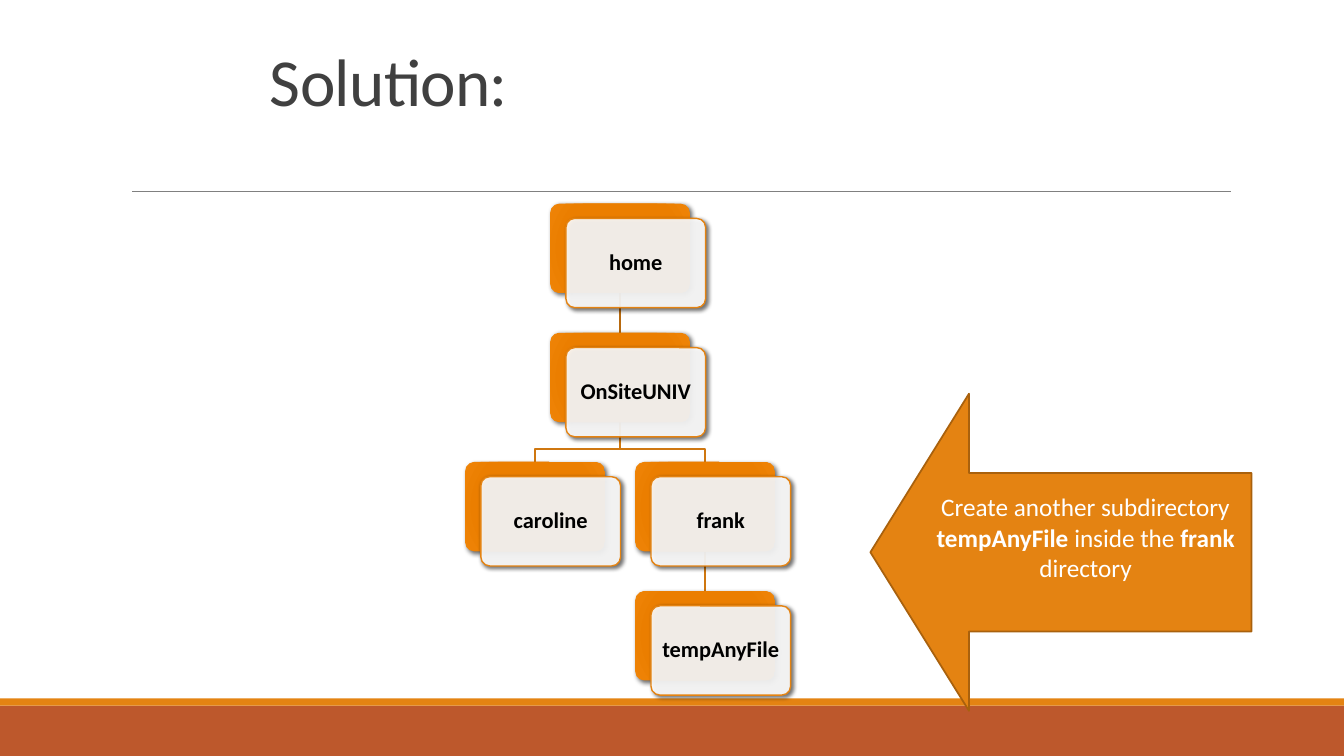
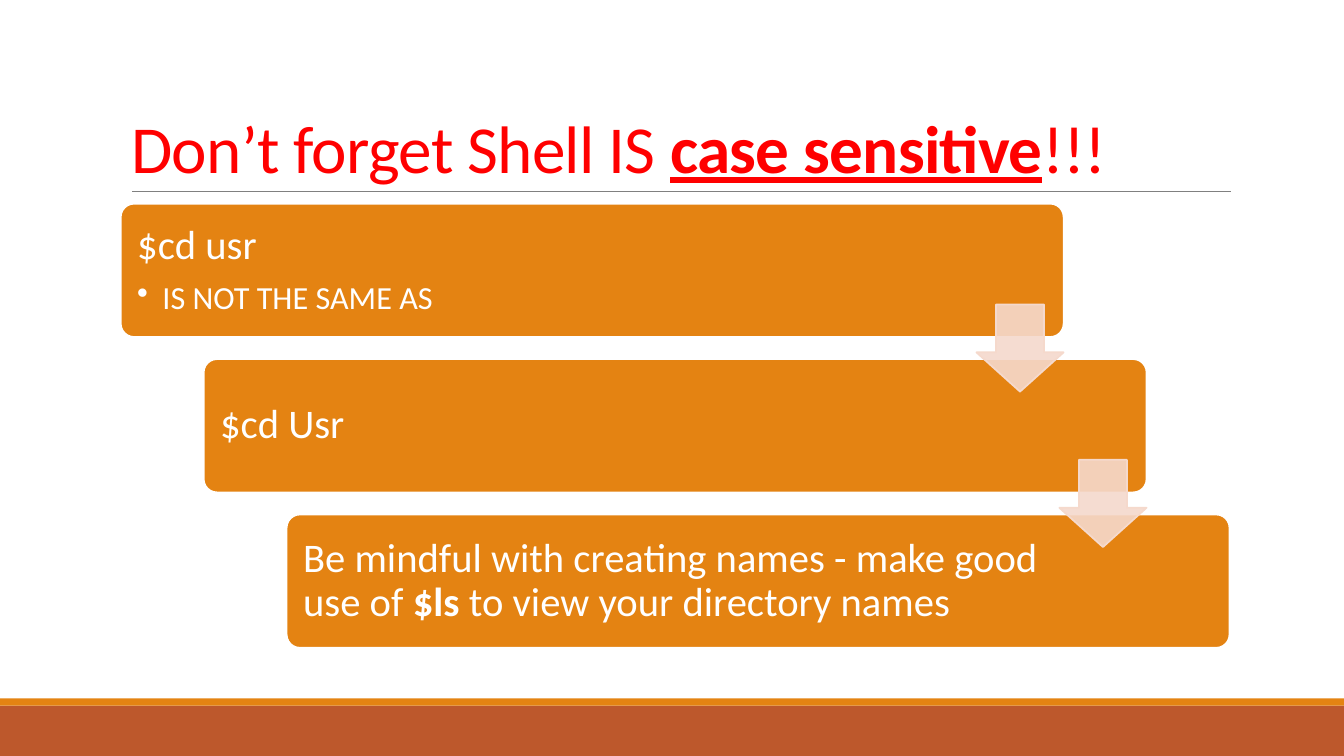
from dataclasses import dataclass

from pptx import Presentation
from pptx.dml.color import RGBColor as RGB
from pptx.enum.shapes import MSO_CONNECTOR as LINK, MSO_SHAPE as KIND
from pptx.enum.text import MSO_ANCHOR as ANCHOR, PP_ALIGN as ALIGN
from pptx.oxml import parse_xml
from pptx.oxml.ns import nsdecls, qn
from pptx.util import Emu, Pt

SCALE = 9525  # EMU in one px, 96 px to the inch


@dataclass(frozen=True)
class Theme:
    font: str = "Calibri"
    rust: str = "BD582C"
    orange: str = "E48312"
    edge: str = "A9610D"
    stem: str = "B7690E"
    branch: str = "CF7710"
    pale: str = "F5D9CC"
    white: str = "FFFFFF"
    black: str = "000000"
    gray: str = "808080"
    dark: str = "404040"
    red: str = "FF0000"
    glow: tuple = ((0, "E57B00"), (34, "E87D00"), (70, "EB7E00"), (100, "EF8407"))
    title: int = 48
    step: int = 29
    sub: int = 23
    note: int = 18
    node: int = 16
    line: float = 1.25
    thin: float = 0.5


T = Theme()


def px(n):
    return Emu(round(n * SCALE))


def ink(line, color, width):
    line.color.rgb = RGB.from_string(color)
    line.width = Pt(width)


def shape(slide, kind, box, fill, edge=None, width=T.line, adj=(), alpha=None):
    """Preset shape with plain fill and line."""
    item = slide.shapes.add_shape(kind, *map(px, box))
    item.shadow.inherit = False
    for i, value in enumerate(adj):
        item.adjustments[i] = value
    item.fill.solid()
    item.fill.fore_color.rgb = RGB.from_string(fill)
    if edge:
        ink(item.line, edge, width)
    else:
        item.line.fill.background()
    if alpha:
        fade(item.fill.fore_color, item, alpha)
    return item


def fade(color, item, alpha):
    """Make the fill of a shape partly clear."""
    clr = item.element.spPr.find(qn("a:solidFill")).find(qn("a:srgbClr"))
    clr.append(parse_xml(f'<a:alpha {nsdecls("a")} val="{alpha * 1000}"/>'))


def shade(item, blur):
    """Soft shadow to the lower right."""
    item.element.spPr.find(qn("a:effectLst")).append(parse_xml(
        f'<a:outerShdw {nsdecls("a")} blurRad="{Pt(blur)}" dist="{Pt(2)}" '
        'dir="2700000" algn="br" rotWithShape="0">'
        f'<a:srgbClr val="{T.black}"><a:alpha val="60000"/></a:srgbClr></a:outerShdw>'))


def glow(item):
    """Swap the plain fill for a round gradient."""
    stops = "".join(f'<a:gs pos="{at * 1000}"><a:srgbClr val="{c}"/></a:gs>'
                    for at, c in T.glow)
    sppr = item.element.spPr
    sppr.replace(sppr.find(qn("a:solidFill")), parse_xml(
        f'<a:gradFill {nsdecls("a")} rotWithShape="1"><a:gsLst>{stops}</a:gsLst>'
        '<a:path path="circle"><a:fillToRect l="100000" t="100000" r="100000" '
        'b="100000"/></a:path></a:gradFill>'))


def frame(item, pads, anchor=ANCHOR.MIDDLE):
    """Text frame with left, top, right and bottom pads."""
    tf = item.text_frame
    tf.word_wrap = True
    tf.vertical_anchor = anchor
    (tf.margin_left, tf.margin_top,
     tf.margin_right, tf.margin_bottom) = map(px, pads)
    return tf


def write(para, runs, size, color, align=ALIGN.LEFT, lead=0.9, track=None):
    """Add runs of (text, marks); marks are b for bold, u for underline."""
    para.alignment = align
    para.line_spacing = lead
    for text, marks in runs:
        run = para.add_run()
        run.text = text
        font = run.font
        font.name, font.size = T.font, Pt(size)
        font.color.rgb = RGB.from_string(color)
        font.bold, font.underline = "b" in marks, "u" in marks
        if track:
            run.font._element.set("spc", str(track))


def bullet(para, dent):
    ppr = para._p.get_or_add_pPr()
    ppr.set("marL", str(px(dent)))
    ppr.set("indent", str(-px(dent)))
    ppr.append(parse_xml(f'<a:buChar {nsdecls("a")} char="•"/>'))


def wire(slide, x1, y1, x2, y2, color, width):
    line = slide.shapes.add_connector(LINK.STRAIGHT, *map(px, (x1, y1, x2, y2)))
    ink(line.line, color, width)
    line.element.spPr.append(parse_xml(f'<a:effectLst {nsdecls("a")}/>'))
    return line


def base(deck, box, runs, color):
    """New slide with bands, rule and title."""
    slide = deck.slides.add_slide(deck.slide_layouts[6])
    shape(slide, KIND.RECTANGLE, (0, 672, 1280, 48), T.rust)
    shape(slide, KIND.RECTANGLE, (0, 665, 1280, 7), T.orange)
    wire(slide, 126, 182, 1172, 182, T.gray, T.thin)
    title = slide.shapes.add_textbox(*map(px, box))
    tf = frame(title, (10, 5, 10, 5), ANCHOR.BOTTOM)
    write(tf.paragraphs[0], runs, T.title, color, lead=0.85, track=-50)
    return slide


def elbow(slide, x1, y1, x2, y2, bend):
    pen = slide.shapes.build_freeform(px(x1), px(y1), scale=1.0)
    spots = ((x1, y1 + bend), (x2, y1 + bend), (x2, y2))
    pen.add_line_segments([(px(x), px(y)) for x, y in spots], close=False)
    line = pen.convert_to_shape()
    line.shadow.inherit = False
    line.fill.background()
    ink(line.line, T.branch, T.line)


def tree(slide, left, top, nodes):
    """Folder tree; nodes map a name to (column, row, parent)."""
    wide, high, across, down = 133, 85, 81, 123

    def place(name):
        col, row, _ = nodes[name]
        return left + col * across, top + row * down

    # Links lie behind the cards
    wires = []
    for name, (col, row, parent) in nodes.items():
        if not parent:
            continue
        x, y = place(name)
        px0, py0 = place(parent)
        ends = px0 + wide / 2, py0 + high, x + wide / 2, y
        if x == px0:
            color = T.stem if row == 1 else T.branch
            wires.append((wire(slide, *ends, color, T.line), parent, name))
        else:
            elbow(slide, *ends, bend=26)

    # Cards
    backs = {}
    for name in nodes:
        x, y = place(name)
        back = shape(slide, KIND.ROUNDED_RECTANGLE, (x, y, wide, high),
                     T.orange, adj=(0.1,))
        glow(back)
        shade(back, 3.5)
        card = shape(slide, KIND.ROUNDED_RECTANGLE, (x + 15, y + 14, wide, high),
                     T.white, T.orange, 1, (0.1,), alpha=90)
        shade(card, 3)
        write(frame(card, (6, 6, 6, 6)).paragraphs[0], [(name, "b")],
              T.node, T.black, ALIGN.CENTER)
        backs[name] = back

    for line, parent, name in wires:
        line.begin_connect(backs[parent], 2)
        line.end_connect(backs[name], 0)


def callout(slide, box, runs):
    item = shape(slide, KIND.LEFT_ARROW, box, T.orange, T.edge, adj=(0.5, 0.311))
    tf = frame(item, (10, 5, 10, 34))
    write(tf.paragraphs[0], runs, T.note, T.white, ALIGN.CENTER, lead=1.0)


def stairs(slide, left, top, steps):
    """Steps going down to the right, with an arrow over each gap."""
    wide, high, across, down, size = 898, 127, 79, 148, 83
    for i, (runs, sub) in enumerate(steps):
        item = shape(slide, KIND.ROUNDED_RECTANGLE,
                     (left + i * across, top + i * down, wide, high),
                     T.orange, T.white, adj=(0.1,))
        tf = frame(item, (12, 12, 173, 12))
        write(tf.paragraphs[0], runs, T.step, T.white)
        if sub:
            tf.paragraphs[0].space_after = Pt(10)
            para = tf.add_paragraph()
            write(para, [(sub, "")], T.sub, T.white)
            bullet(para, 24)
    for i in range(len(steps) - 1):
        x = left + i * across + wide - size
        y = top + i * down + (high + down - size) / 2
        shape(slide, KIND.DOWN_ARROW, (x, y, size, size), T.pale, T.pale,
              adj=(0.45, 0.55), alpha=90).adjustments[0] = 0.55
        slide.shapes[-1].adjustments[1] = 0.45


def main():
    deck = Presentation()
    deck.slide_width, deck.slide_height = px(1280), px(720)

    # Folder tree
    slide = base(deck, (247, 30, 792, 89), [("Solution:", "")], T.dark)
    tree(slide, 443, 194, {
        "home": (1, 0, None),
        "OnSiteUNIV": (1, 1, "home"),
        "caroline": (0, 2, "OnSiteUNIV"),
        "frank": (2, 2, "OnSiteUNIV"),
        "tempAnyFile": (2, 3, "frank"),
    })
    callout(slide, (829, 375, 363, 302), [
        ("Create another subdirectory ", ""), ("tempAnyFile ", "b"),
        ("inside the ", ""), ("frank", "b"), (" directory", "")])

    # Case of names
    slide = base(deck, (115, 30, 1056, 153), [
        ("Don’t forget Shell IS ", ""), ("case sensitive", "bu"), ("!!!", "")], T.red)
    stairs(slide, 115, 194, [
        ([("$cd usr", "")], "IS NOT THE SAME AS"),
        ([("$cd Usr", "")], None),
        ([("Be mindful with creating names - make good use of ", ""),
          ("$ls", "b"), (" to view your directory names", "")], None),
    ])
    deck.save("out.pptx")


if __name__ == "__main__":
    main()
